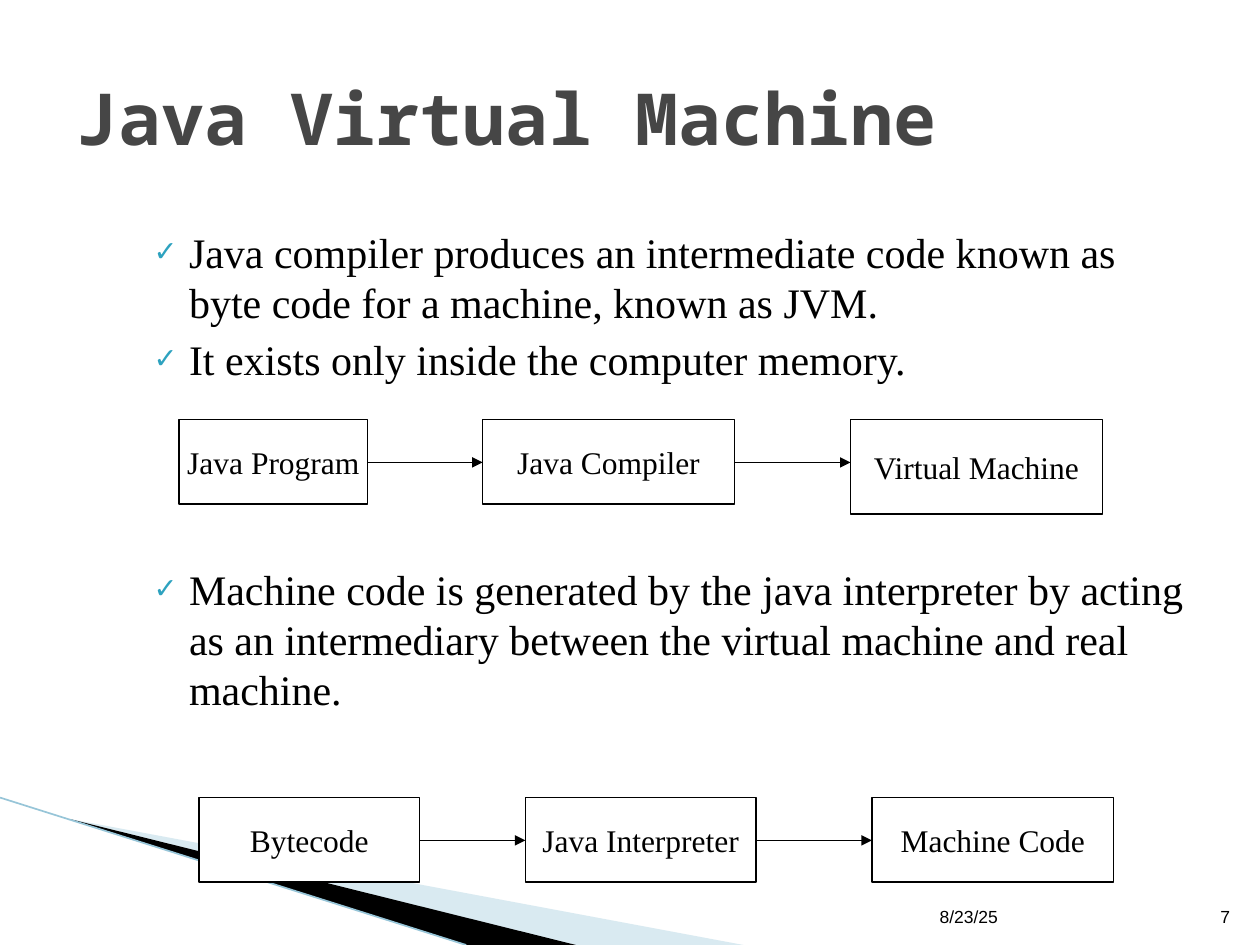
from dataclasses import dataclass

from lxml import etree
from pptx import Presentation
from pptx.dml.color import RGBColor
from pptx.enum.shapes import MSO_CONNECTOR, MSO_SHAPE
from pptx.enum.text import MSO_ANCHOR, MSO_AUTO_SIZE, PP_ALIGN
from pptx.oxml.ns import qn
from pptx.util import Inches, Pt

RECTANGLE = MSO_SHAPE.RECTANGLE
STRAIGHT = MSO_CONNECTOR.STRAIGHT
MIDDLE, BOTTOM = MSO_ANCHOR.MIDDLE, MSO_ANCHOR.BOTTOM
LEFT, CENTER, RIGHT = PP_ALIGN.LEFT, PP_ALIGN.CENTER, PP_ALIGN.RIGHT
NO_AUTOFIT = MSO_AUTO_SIZE.NONE
TITLE_AND_CONTENT = 1


@dataclass(frozen=True)
class Theme:
    ink: str = "000000"
    paper: str = "FFFFFF"
    heading: str = "464646"
    bullet: str = "2DA2BF"
    pale_wedge: str = "A0CBDC"
    edge: str = "97C5D8"
    title_font: str = "Noto Sans Mono"
    body_font: str = "Times New Roman"
    footer_font: str = "Arial"
    title_size: float = 41
    body_size: float = 24
    box_size: float = 18
    footer_size: float = 10
    line_width: float = 0.75


THEME = Theme()

BULLETS = [  # text, space before in points
    ("Java compiler produces an intermediate code known as byte code for a machine, known as JVM.", 4),
    ("It exists only inside the computer memory.", 4),
    ("Machine code is generated by the java interpreter by acting as an intermediary "
     "between the virtual machine and real machine.", 103),
]
COMPILE_STEPS = [  # label, left offset, width, height
    ("Java Program", 0, 1.5, 0.67),
    ("Java Compiler", 2.41, 2, 0.67),
    ("Virtual Machine", 5.33, 2, 0.75),
]
INTERPRET_STEPS = [
    ("Bytecode", 0, 1.75, 0.67),
    ("Java Interpreter", 2.59, 1.83, 0.67),
    ("Machine Code", 5.34, 1.92, 0.67),
]


def rgb(value):
    return RGBColor.from_string(value)


def add_element(parent, tag, **attributes):
    return etree.SubElement(parent, qn(tag), attributes)


def place(shape, left, top, width, height):
    shape.left, shape.top = Inches(left), Inches(top)
    shape.width, shape.height = Inches(width), Inches(height)


def format_paragraph(paragraph, font_name, size, color, alignment=LEFT, bold=False):
    paragraph.alignment = alignment
    for run in paragraph.runs:
        run.font.name = font_name
        run.font.size = Pt(size)
        run.font.bold = bold
        run.font.color.rgb = rgb(color)


def add_line(slide, start, end, color, width):
    line = slide.shapes.add_connector(STRAIGHT, *map(Inches, start + end))
    line.line.color.rgb = rgb(color)
    line.line.width = Pt(width)
    add_element(line._element.spPr, "a:effectLst")
    return line


def add_arrow(slide, start, end):
    arrow = add_line(slide, start, end, THEME.ink, THEME.line_width)
    add_element(arrow.line._get_or_add_ln(), "a:tailEnd", type="triangle")


def add_wedge(slide, points, color, opacity=100):
    corners = [(Inches(x), Inches(y)) for x, y in points]
    builder = slide.shapes.build_freeform(*corners[0])
    builder.add_line_segments(corners[1:], close=True)
    wedge = builder.convert_to_shape()
    wedge.shadow.inherit = False
    wedge.fill.solid()
    wedge.fill.fore_color.rgb = rgb(color)
    wedge.line.fill.background()
    if opacity < 100:
        fill_color = wedge._element.spPr.find(qn("a:solidFill"))[0]
        add_element(fill_color, "a:alpha", val=str(opacity * 1000))


def add_corner_decoration(slide, left, top, width, height):
    """Fan of two wedges and a thin edge in the lower left corner."""
    bottom = top + height
    tip = (left + 0.55, top + 0.17)
    add_wedge(slide, [tip, (left + width, bottom), (left + 4.56, bottom)],
              THEME.pale_wedge, opacity=40)
    add_wedge(slide, [tip, (left + 4.57, bottom), (left + 3.7, bottom)], THEME.ink)
    add_line(slide, (left, top), (left + 3.7, bottom), THEME.edge, 0.95)


def fill_title(slide, text, left, top, width, height):
    title = slide.shapes.title
    place(title, left, top, width, height)
    frame = title.text_frame
    frame.text = text
    frame.auto_size = NO_AUTOFIT
    frame.vertical_anchor = MIDDLE
    format_paragraph(frame.paragraphs[0], THEME.title_font, THEME.title_size,
                     THEME.heading, bold=True)


def add_check_bullet(paragraph):
    properties = paragraph._p.get_or_add_pPr()
    properties.set("marL", str(Inches(0.4)))
    properties.set("indent", str(Inches(-0.28)))
    bullet_color = add_element(properties, "a:buClr")
    add_element(bullet_color, "a:srgbClr", val=THEME.bullet)
    add_element(properties, "a:buSzPct", val="68000")
    add_element(properties, "a:buChar", char="✓")


def fill_body(slide, bullets, left, top, width, height):
    body = slide.placeholders[1]
    place(body, left, top, width, height)
    frame = body.text_frame
    frame.text = "\n".join(text for text, _ in bullets)
    frame.auto_size = NO_AUTOFIT
    for paragraph, (_, space_before) in zip(frame.paragraphs, bullets):
        format_paragraph(paragraph, THEME.body_font, THEME.body_size, THEME.ink)
        paragraph.line_spacing = Pt(28.6)
        paragraph.space_before = Pt(space_before)
        add_check_bullet(paragraph)


def add_step(slide, label, left, top, width, height):
    box = slide.shapes.add_shape(RECTANGLE, *map(Inches, (left, top, width, height)))
    box.shadow.inherit = False
    box.fill.solid()
    box.fill.fore_color.rgb = rgb(THEME.paper)
    box.line.color.rgb = rgb(THEME.ink)
    box.line.width = Pt(THEME.line_width)
    frame = box.text_frame
    frame.text = label
    frame.word_wrap = False
    frame.vertical_anchor = MIDDLE
    format_paragraph(frame.paragraphs[0], THEME.body_font, THEME.box_size, THEME.ink, CENTER)


def add_flow(slide, steps, left, top):
    """Row of labelled boxes, each joined to the next by an arrow."""
    for label, offset, width, height in steps:
        add_step(slide, label, left + offset, top, width, height)
    arrow_top = top + 0.34
    for (_, offset, width, _), (_, next_offset, _, _) in zip(steps, steps[1:]):
        add_arrow(slide, (left + offset + width, arrow_top), (left + next_offset, arrow_top))


def add_footer(slide, date, number, left, top, width, height):
    number_width = 0.4
    date_width = width - number_width
    for text, offset, box_width, alignment in (
        (number, date_width, number_width, RIGHT),
        (date, 0, date_width, LEFT),
    ):
        box = slide.shapes.add_textbox(*map(Inches, (left + offset, top, box_width, height)))
        frame = box.text_frame
        frame.text = text
        frame.word_wrap = True
        frame.vertical_anchor = BOTTOM
        format_paragraph(frame.paragraphs[0], THEME.footer_font, THEME.footer_size,
                         THEME.ink, alignment)


def main():
    presentation = Presentation()
    presentation.slide_width, presentation.slide_height = Inches(10), Inches(7.5)
    slide = presentation.slides.add_slide(presentation.slide_layouts[TITLE_AND_CONTENT])
    add_corner_decoration(slide, 0, 6.33, 5.9, 1.17)
    fill_title(slide, "Java Virtual Machine", 0.5, 0.3, 9, 1.25)
    fill_body(slide, BULLETS, 1, 1.75, 8.58, 5.42)
    add_flow(slide, COMPILE_STEPS, 1.42, 3.33)
    add_flow(slide, INTERPRET_STEPS, 1.58, 6.33)
    add_footer(slide, "8/23/25", "7", 7.36, 7.01, 2.5, 0.4)
    presentation.save("out.pptx")


if __name__ == "__main__":
    main()
